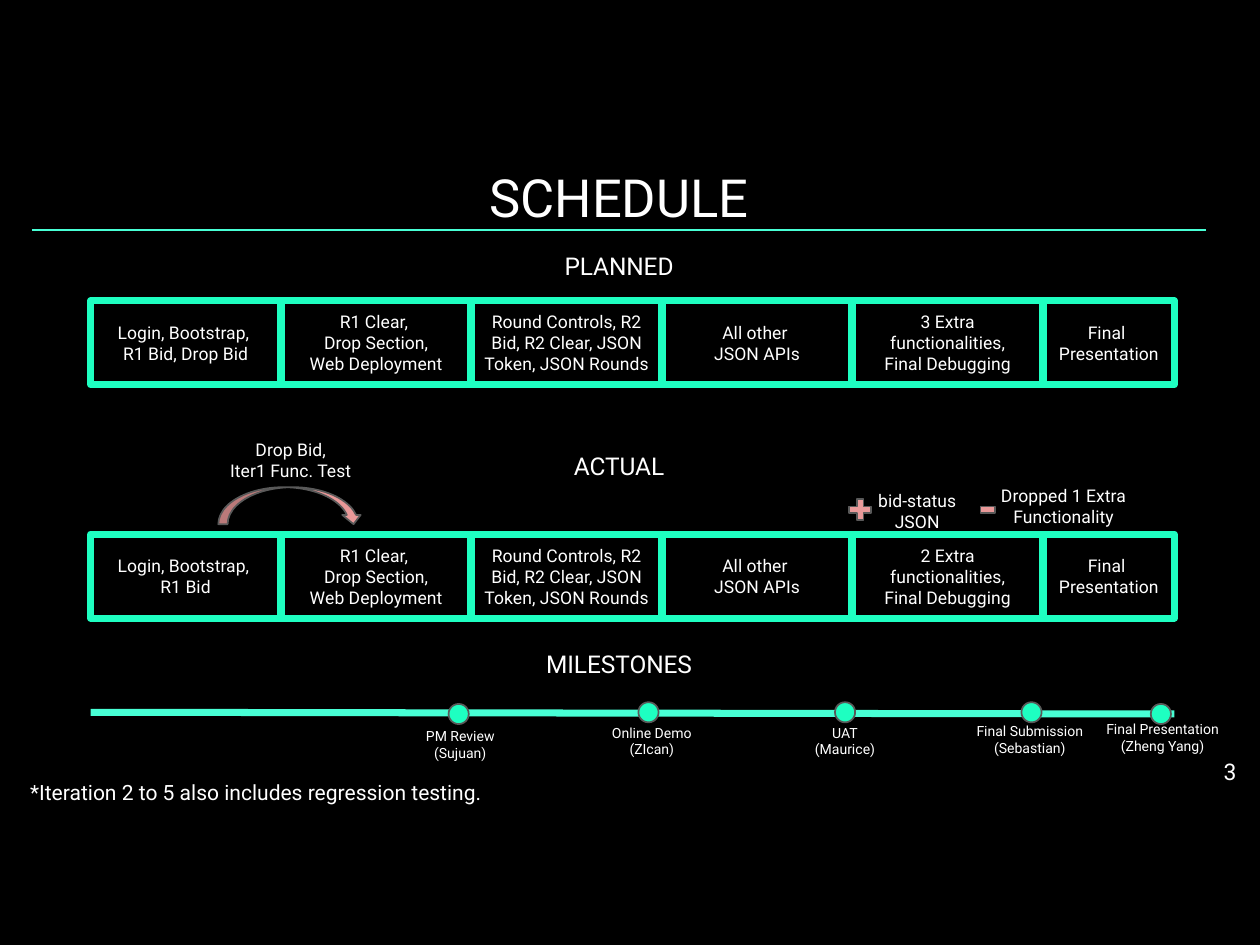
"""Build the project schedule slide: planned, actual and milestones."""
from lxml.etree import SubElement
from pptx import Presentation
from pptx.dml.color import RGBColor
from pptx.enum.shapes import MSO_CONNECTOR as LINK, MSO_SHAPE as KIND
from pptx.enum.text import MSO_ANCHOR as ANCHOR, PP_ALIGN as ALIGN
from pptx.oxml.ns import qn
from pptx.util import Inches, Pt

BLACK = RGBColor(0, 0, 0)
WHITE = RGBColor(255, 255, 255)
MINT = RGBColor(0x1E, 0xFF, 0xC1)
AQUA = RGBColor(0x48, 0xFF, 0xD5)
PINK = RGBColor(0xEA, 0x99, 0x99)
GRAY = RGBColor(0x59, 0x59, 0x59)
FONT = "Roboto"

TITLES = [
    ("SCHEDULE", 0.93, 0.5, 22.5),
    ("PLANNED", 1.24, 0.5, 10.5),
    ("ACTUAL", 2.65, 0.28, 10.5),
    ("MILESTONES", 3.83, 0.28, 10.5),
]
SHARED = [
    "R1 Clear, \vDrop Section,\vWeb Deployment",
    "Round Controls, R2 Bid, R2 Clear, JSON Token, JSON Rounds",
    "All other \vJSON APIs",
]
LAST = "Final \nPresentation"
PLANNED = ["Login, Bootstrap, \vR1 Bid, Drop Bid", *SHARED,
           "3 Extra functionalities,\vFinal Debugging", LAST]
ACTUAL = ["Login, Bootstrap, \vR1 Bid", *SHARED,
          "2 Extra functionalities,\vFinal Debugging", LAST]
ROWS = [(1.79, PLANNED), (3.18, ACTUAL)]
MARKS = [
    (KIND.CURVED_DOWN_ARROW, (1.3, 2.9, 0.86, 0.22), (0.25, 0.5, 0.25)),
    (KIND.MATH_PLUS, (5.03, 2.95, 0.18, 0.17), (0.235,)),
    (KIND.MATH_MINUS, (5.82, 2.95, 0.12, 0.17), (0.235,)),
]
CHANGES = [
    ("Drop Bid,\nIter1 Func. Test", (1.27, 2.55, 0.92, 0.38)),
    ("bid-status\vJSON", (4.96, 2.85, 1, 0.38)),
    ("Dropped 1 Extra\vFunctionality", (5.74, 2.82, 1.18, 0.38)),
]
EVENTS = [
    ("PM Review\v(Sujuan)", 2.67, 4.19, 2.31, 4.24),
    ("Online Demo\v(ZIcan)", 3.8, 4.18, 3.45, 4.22),
    ("UAT\v(Maurice)", 4.97, 4.18, 4.6, 4.22),
    ("Final Submission\v(Sebastian)", 6.08, 4.18, 5.7, 4.21),
    ("Final Presentation\v(Zheng Yang)", 6.85, 4.19, 6.49, 4.2),
]
NOTE = "*Iteration 2 to 5 also includes regression testing."

PAGE = 7.5
LEFT, FINAL, WIDE, SLIM, HIGH = 0.54, 6.21, 1.13, 0.78, 0.5
PITCH = (FINAL - LEFT) / (len(PLANNED) - 1)
DOT = 0.12


def write(shape, text, size, align=ALIGN.CENTER, anchor=ANCHOR.MIDDLE):
    frame = shape.text_frame
    frame.word_wrap = True
    frame.vertical_anchor = anchor
    frame.margin_left = frame.margin_right = Inches(0.07)
    frame.margin_top = frame.margin_bottom = Inches(0.07)
    for i, block in enumerate(text.split("\n")):
        para = frame.add_paragraph() if i else frame.paragraphs[0]
        para.alignment = align
        for j, line in enumerate(block.split("\v")):
            if j:
                para.add_line_break()
            run = para.add_run()
            run.text = line
            run.font.name = FONT
            run.font.size = Pt(size)
            run.font.color.rgb = WHITE
        para.font.size = Pt(size)


def label(slide, text, box, size, **place):
    write(slide.shapes.add_textbox(*map(Inches, box)), text, size, **place)


def draw(slide, kind, box, fill, line, width):
    shape = slide.shapes.add_shape(kind, *map(Inches, box))
    shape.shadow.inherit = False
    if fill is None:
        shape.fill.background()
    else:
        shape.fill.solid()
        shape.fill.fore_color.rgb = fill
    shape.line.color.rgb = line
    shape.line.width = Pt(width)
    return shape


def rule(slide, ends, width):
    line = slide.shapes.add_connector(LINK.STRAIGHT, *map(Inches, ends))
    line.line.color.rgb = AQUA
    line.line.width = Pt(width)
    SubElement(line._element.spPr, qn("a:effectLst"))


def main():
    deck = Presentation()
    deck.slide_width, deck.slide_height = Inches(PAGE), Inches(PAGE * 3 / 4)
    slide = deck.slides.add_slide(deck.slide_layouts[6])
    slide.background.fill.solid()
    slide.background.fill.fore_color.rgb = BLACK

    rule(slide, (0.19, 1.37, 7.18, 1.37), 0.75)
    for text, top, high, size in TITLES:
        label(slide, text, (0.19, top, 6.99, high), size, anchor=ANCHOR.BOTTOM)

    for top, steps in ROWS:
        for i, step in enumerate(steps):
            wide = SLIM if step == LAST else WIDE
            box = (LEFT + i * PITCH, top, wide, HIGH)
            write(draw(slide, KIND.RECTANGLE, box, None, MINT, 3), step, 7.5)

    for kind, box, turns in MARKS:
        mark = draw(slide, kind, box, PINK, GRAY, 0.75)
        for i, turn in enumerate(turns):
            mark.adjustments[i] = turn
    for text, box in CHANGES:
        label(slide, text, box, 7.5)

    rule(slide, (LEFT, 4.24, FINAL + SLIM, 4.25), 3)
    for text, x, y, left, top in EVENTS:
        draw(slide, KIND.OVAL, (x, y, DOT, DOT), MINT, GRAY, 0.75)
        label(slide, text, (left, top, 0.86, 0.38), 6)

    label(slide, NOTE, (0.11, 4.57, 3.24, 0.38), 9,
          align=ALIGN.LEFT, anchor=ANCHOR.TOP)
    label(slide, "3", (6.98, 4.44, 0.45, 0.32), 9.8,
          align=ALIGN.RIGHT, anchor=ANCHOR.TOP)
    deck.save("out.pptx")


if __name__ == "__main__":
    main()
